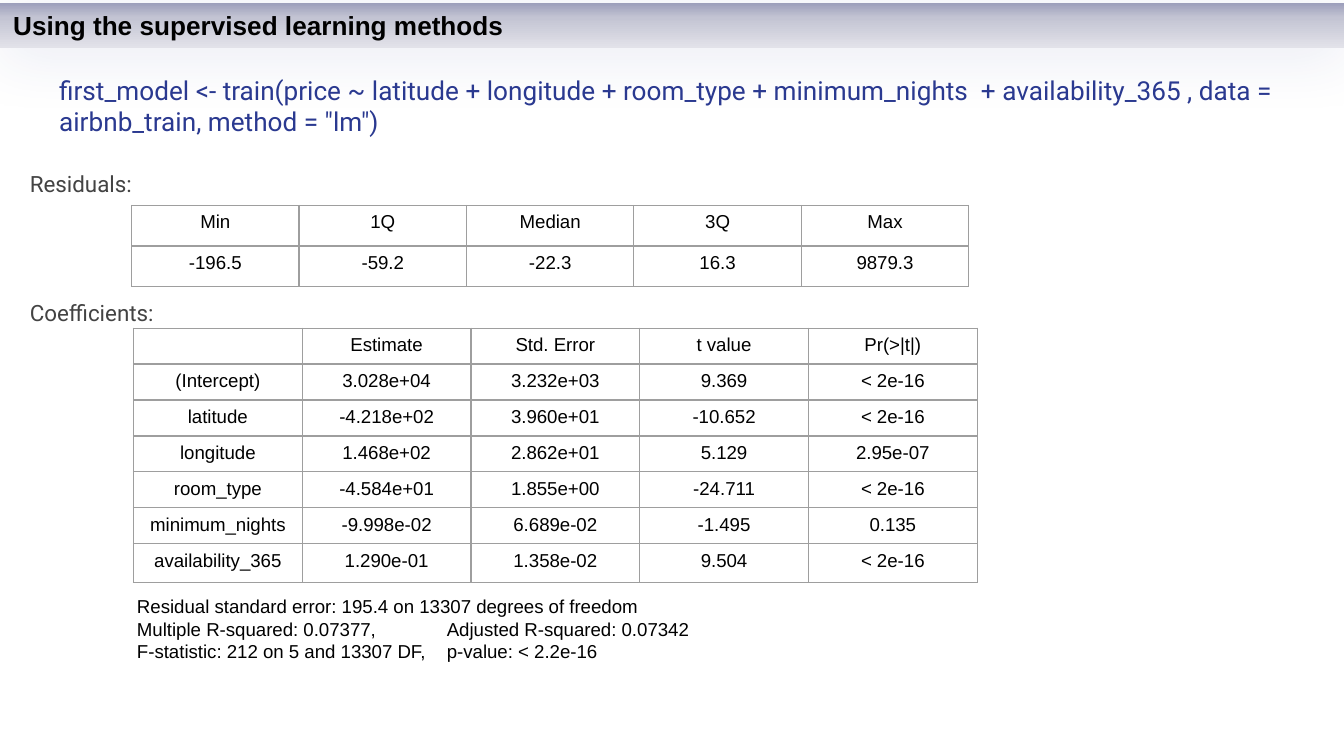
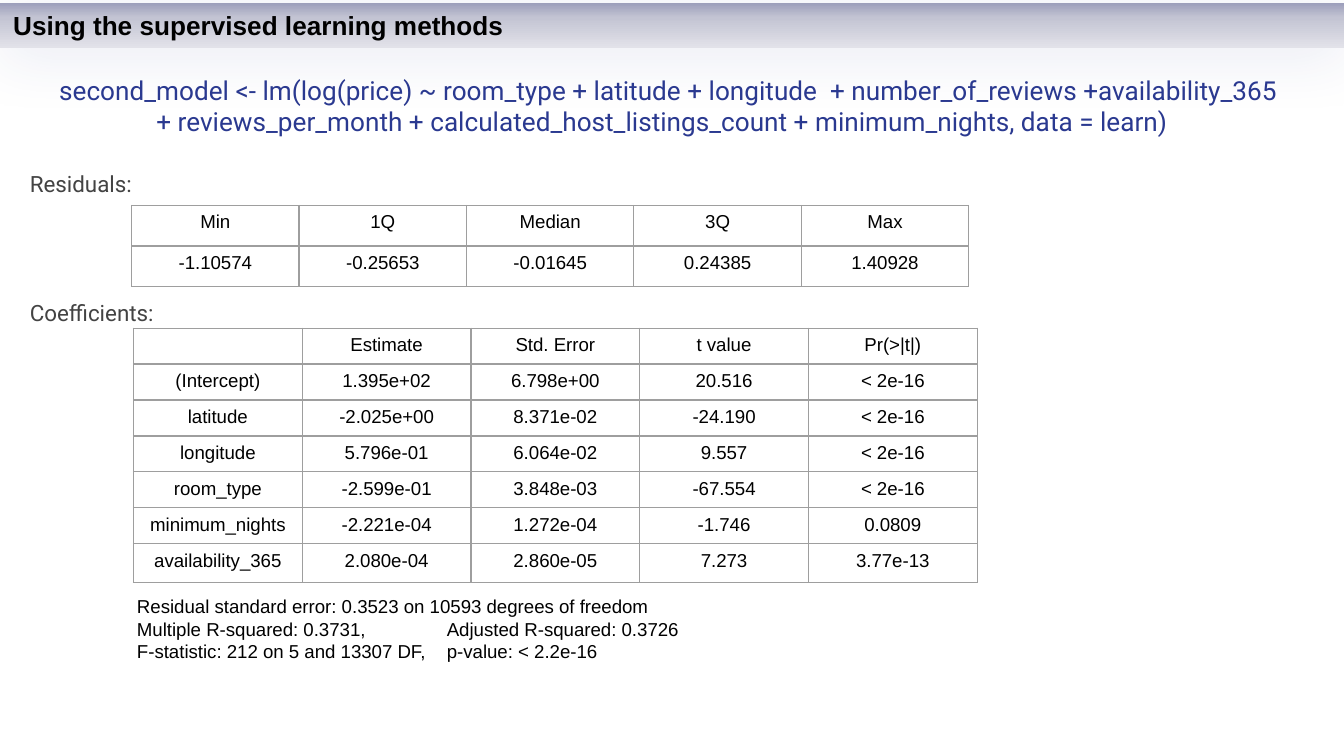
"""Build two slides that report the fitted regression models."""
import copy
from dataclasses import dataclass

import pptx
import pptx.dml.color
import pptx.enum.shapes
import pptx.enum.text
import pptx.oxml
import pptx.oxml.ns
import pptx.util

Pt = pptx.util.Pt
qn = pptx.oxml.ns.qn
NS = pptx.oxml.ns.nsdecls("a")
ANCHOR = pptx.enum.text.MSO_ANCHOR
LEFT, CENTER = pptx.enum.text.PP_ALIGN.LEFT, pptx.enum.text.PP_ALIGN.CENTER


@dataclass(frozen=True)
class Theme:
    code: tuple = ("Roboto", 14, "2A3990", False)
    label: tuple = ("Roboto", 12, "434343", False)
    heading: tuple = ("Arial", 14, "000000", True)
    body: tuple = ("Arial", 10, "000000", False)
    band: tuple = ((0, "9B9DBA"), (0.33, "C3C4D3"), (1, "E2E2E9"))
    shadow: str = "2A3990"
    border: str = "9E9E9E"


THEME = Theme()
HEADING = "Using the supervised learning methods"
QUARTILES = ["Min", "1Q", "Median", "3Q", "Max"]
COLUMNS = ["", "Estimate", "Std. Error", "t value", "Pr(>|t|)"]
TERMS = ["(Intercept)", "latitude", "longitude", "room_type", "minimum_nights", "availability_365"]
TAB_STOP = Pt(166)

MODELS = [
    {
        "formula": 'first_model <- train(price ~ latitude + longitude + room_type + minimum_nights  '
                   '+ availability_365 , data = airbnb_train, method = "lm")',
        "residuals": ["-196.5", "-59.2", "-22.3", "16.3", "9879.3"],
        "coefficients": [
            ["3.028e+04", "3.232e+03", "9.369", "< 2e-16"],
            ["-4.218e+02", "3.960e+01", "-10.652", "< 2e-16"],
            ["1.468e+02", "2.862e+01", "5.129", "2.95e-07"],
            ["-4.584e+01", "1.855e+00", "-24.711", "< 2e-16"],
            ["-9.998e-02", "6.689e-02", "-1.495", "0.135"],
            ["1.290e-01", "1.358e-02", "9.504", "< 2e-16"],
        ],
        "error": "195.4 on 13307",
        "r_squared": ("0.07377", "0.07342"),
    },
    {
        "formula": "second_model <- lm(log(price) ~ room_type + latitude + longitude  "
                   "+ number_of_reviews +availability_365\v"
                   "               + reviews_per_month + calculated_host_listings_count "
                   "+ minimum_nights, data = learn)",
        "residuals": ["-1.10574", "-0.25653", "-0.01645", "0.24385", "1.40928"],
        "coefficients": [
            ["1.395e+02", "6.798e+00", "20.516", "< 2e-16"],
            ["-2.025e+00", "8.371e-02", "-24.190", "< 2e-16"],
            ["5.796e-01", "6.064e-02", "9.557", "< 2e-16"],
            ["-2.599e-01", "3.848e-03", "-67.554", "< 2e-16"],
            ["-2.221e-04", "1.272e-04", "-1.746", "0.0809"],
            ["2.080e-04", "2.860e-05", "7.273", "3.77e-13"],
        ],
        "error": "0.3523 on 10593",
        "r_squared": ("0.3731", "0.3726"),
    },
]


def write(tf, text, style, align=LEFT, tab=None):
    tf.text = text
    name, size, color, bold = style
    for p in tf.paragraphs:
        p.alignment = align
        if tab:
            p._p.get_or_add_pPr().append(pptx.oxml.parse_xml(
                f'<a:tabLst {NS}><a:tab pos="{tab}" algn="l"/></a:tabLst>'))
        p.font.name, p.font.size, p.font.bold = name, Pt(size), bold
        p.font.color.rgb = pptx.dml.color.RGBColor.from_string(color)
        if not text:
            p._p.get_or_add_endParaRPr().set("sz", str(size * 100))


def add_grid(s, rows, left, top, width, heights):
    table = s.shapes.add_table(len(rows), len(rows[0]), Pt(left), Pt(top),
                               Pt(width), Pt(sum(heights))).table
    table.first_row = table.horz_banding = False
    for column in table.columns:
        column.width = Pt(width / len(rows[0]))
    for i, (row, height) in enumerate(zip(rows, heights)):
        table.rows[i].height = Pt(height)
        for j, text in enumerate(row):
            cell = table.cell(i, j)
            write(cell.text_frame, text, THEME.body, CENTER)
            for side in ("lnL", "lnR", "lnT", "lnB"):
                cell._tc.get_or_add_tcPr().append(pptx.oxml.parse_xml(
                    f'<a:{side} {NS} w="{Pt(0.75)}"><a:solidFill>'
                    f'<a:srgbClr val="{THEME.border}"/></a:solidFill></a:{side}>'))
            cell.fill.background()


prs = pptx.Presentation()
prs.slide_width, prs.slide_height = Pt(720), Pt(405)

for model in MODELS:
    s = prs.slides.add_slide(prs.slide_layouts[5])

    title = s.shapes.title
    title.left, title.top, title.width, title.height = Pt(24.5), Pt(32.4), Pt(671), Pt(54)
    tf = title.text_frame
    tf.margin_left = tf.margin_right = tf.margin_top = tf.margin_bottom = Pt(7.2)
    tf.word_wrap, tf.vertical_anchor = True, ANCHOR.TOP
    tf.auto_size = pptx.enum.text.MSO_AUTO_SIZE.NONE
    write(tf, model["formula"], THEME.code)

    for label, top in (("Residuals:", 82), ("Coefficients:", 151)):
        tf = s.shapes.add_textbox(0, Pt(top), Pt(200), Pt(30)).text_frame
        tf.word_wrap, tf.margin_left, tf.margin_top = True, Pt(16), Pt(7.2)
        write(tf, label, THEME.label)
        tf.paragraphs[0].line_spacing = 1.15

    add_grid(s, [QUARTILES, model["residuals"]], 70.5, 110, 448.5, [21.8] * 2)
    coefficients = [[term] + values for term, values in zip(TERMS, model["coefficients"])]
    add_grid(s, [COLUMNS] + coefficients, 71.5, 175.8, 452, [18.3] * 6 + [20.9])

    band = s.shapes.add_shape(pptx.enum.shapes.MSO_SHAPE.RECTANGLE, 0, Pt(1.4), Pt(720), Pt(24.4))
    band.line.fill.background()
    band.fill.gradient()
    band.fill.gradient_angle = 270
    spPr = band._element.spPr
    stops = spPr.find(".//" + qn("a:gsLst"))
    stops.append(copy.deepcopy(stops[0]))
    for stop, (position, color) in zip(band.fill.gradient_stops, THEME.band):
        stop.position = position
        stop.color.rgb = pptx.dml.color.RGBColor.from_string(color)
    band.shadow.inherit = False
    spPr.find(qn("a:effectLst")).append(pptx.oxml.parse_xml(
        f'<a:outerShdw {NS} blurRad="{Pt(32)}" dist="{Pt(4)}" dir="5400000" rotWithShape="0">'
        f'<a:srgbClr val="{THEME.shadow}"><a:alpha val="9000"/></a:srgbClr></a:outerShdw>'))
    band.text_frame.word_wrap = True
    band.text_frame.vertical_anchor = ANCHOR.MIDDLE
    write(band.text_frame, HEADING, THEME.heading)

    multiple, adjusted = model["r_squared"]
    summary = [
        f"Residual standard error: {model['error']} degrees of freedom",
        f"Multiple R-squared: {multiple},\tAdjusted R-squared: {adjusted}",
        "F-statistic: 212 on 5 and 13307 DF,\tp-value: < 2.2e-16",
    ]
    tf = s.shapes.add_textbox(Pt(66.3), Pt(315.4), Pt(611), Pt(44)).text_frame
    tf.word_wrap = True
    write(tf, "\n".join(summary), THEME.body, tab=TAB_STOP)

prs.save("out.pptx")
